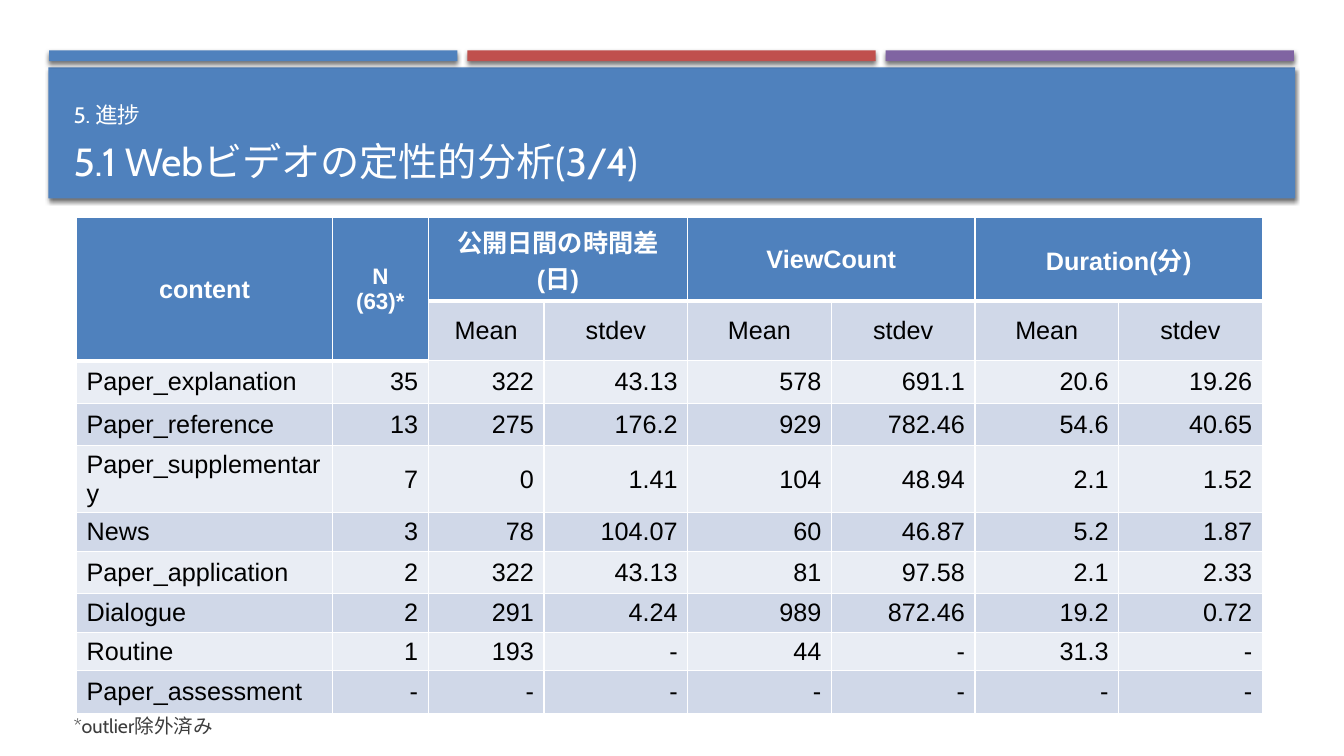
from lxml.etree import SubElement
from pptx import Presentation
from pptx.dml.color import RGBColor
from pptx.enum.shapes import MSO_SHAPE
from pptx.enum.text import MSO_ANCHOR, MSO_AUTO_SIZE, PP_ALIGN
from pptx.oxml import parse_xml
from pptx.oxml.ns import nsdecls, qn
from pptx.util import Cm, Pt

BLUE, RED, PURPLE, WHITE = "4F81BD", "C0504D", "8064A2", "FFFFFF"
BANDS = ["E9EDF4", "D0D8E8"]
SHADOW = (f'<a:effectLst {nsdecls("a")}><a:outerShdw blurRad="38100" dist="25400" '
          'dir="5400000" rotWithShape="0"><a:srgbClr val="000000">'
          '<a:alpha val="55000"/></a:srgbClr></a:outerShdw></a:effectLst>')


def rgb(value):
    """Turn a hex string into a colour."""
    return RGBColor.from_string(value)


def format_text(tf, align, **font):
    """Align every paragraph and set the font of every run."""
    color = font.pop("color")
    for p in tf.paragraphs:
        p.alignment = align
        for r in p.runs:
            r.font.color.rgb = rgb(color)
            for name, value in font.items():
                setattr(r.font, name, value)


prs = Presentation()
prs.slide_width, prs.slide_height = Cm(33.87), Cm(19.05)
s = prs.slides.add_slide(prs.slide_layouts[3])

# Header band and the three stripes above it, behind the text
bars = [(1.22, 1.7, 31.42, 3.3, BLUE)]
for i, color in enumerate([BLUE, RED, PURPLE]):
    bars.append((1.24 + i * 10.54, 1.27, 10.29, 0.27, color))
for i, (left, top, width, height, color) in enumerate(bars):
    sp = s.shapes.add_shape(MSO_SHAPE.RECTANGLE, Cm(left), Cm(top), Cm(width), Cm(height))
    sp.fill.solid()
    sp.fill.fore_color.rgb = rgb(color)
    sp.line.fill.background()
    sp._element.spPr.append(parse_xml(SHADOW))
    s.shapes._spTree.insert(2 + i, sp._element)

# Title, section name and footnote
title, section, footnote = s.placeholders
texts = [
    (title, "5.1\u00a0Webビデオの定性的分析(3/4)", 3.34, 1.45, 28, WHITE),
    (section, "5. 進捗", 2.42, 0.94, 16, WHITE),
    (footnote, "*outlier除外済み", 17.78, 1, 14, "3D3D3D"),
]
for sp, text, top, height, size, color in texts:
    sp.left, sp.top, sp.width, sp.height = Cm(1.6), Cm(top), Cm(30.65), Cm(height)
    tf = sp.text_frame
    tf.text = text
    tf.word_wrap = True
    tf.auto_size = MSO_AUTO_SIZE.NONE
    tf.vertical_anchor = MSO_ANCHOR.MIDDLE
    format_text(tf, PP_ALIGN.LEFT, name="Cabin", size=Pt(size), color=color)
    p = tf.paragraphs[0]
    p.space_before = Pt(0)
    pPr = p._p.get_or_add_pPr()
    pPr.set("marL", "0")
    pPr.set("indent", "0")
    SubElement(pPr, qn("a:buNone"))

# Table of videos by content, ending above the footnote
rows = [
    ["content", "N\n(63)*", "公開日間の時間差(日)", "", "ViewCount", "", "Duration(分)", ""],
    ["", ""] + ["Mean", "stdev"] * 3,
    ["Paper_explanation", "35", "322", "43.13", "578", "691.1", "20.6", "19.26"],
    ["Paper_reference", "13", "275", "176.2", "929", "782.46", "54.6", "40.65"],
    ["Paper_supplementary", "7", "0", "1.41", "104", "48.94", "2.1", "1.52"],
    ["News", "3", "78", "104.07", "60", "46.87", "5.2", "1.87"],
    ["Paper_application", "2", "322", "43.13", "81", "97.58", "2.1", "2.33"],
    ["Dialogue", "2", "291", "4.24", "989", "872.46", "19.2", "0.72"],
    ["Routine", "1", "193", "-", "44", "-", "31.3", "-"],
    ["Paper_assessment"] + ["-"] * 7,
]
widths = [6.45, 2.41, 2.92] + [3.62] * 5
heights = [2.08, 1.36, 1.07, 1.07, 1.69, 0.97, 1.07, 0.97, 0.97, 1.07]
table = s.shapes.add_table(len(rows), len(widths), Cm(1.93), Cm(5.49),
                           Cm(sum(widths)), Cm(sum(heights))).table
for column, width in zip(table.columns, widths):
    column.width = Cm(width)
for row, height in zip(table.rows, heights):
    row.height = Cm(height)
for c in (0, 1):
    table.cell(0, c).merge(table.cell(1, c))
for c in (2, 4, 6):
    table.cell(0, c).merge(table.cell(0, c + 1))

header = {(0, c) for c in range(8)} | {(1, 0), (1, 1)}
for i, row in enumerate(rows):
    for j, text in enumerate(row):
        cell = table.cell(i, j)
        is_header = (i, j) in header
        tcPr = cell._tc.get_or_add_tcPr()
        edges = {"L": 1, "R": 1, "T": 3 if (i - 1, j) in header else 1,
                 "B": 3 if is_header else 1}
        for side, points in edges.items():
            line = SubElement(tcPr, qn(f"a:ln{side}"), w=str(Pt(points)))
            SubElement(SubElement(line, qn("a:solidFill")), qn("a:srgbClr"), val=WHITE)
        cell.fill.solid()
        cell.fill.fore_color.rgb = rgb(BLUE if is_header else BANDS[i % 2])
        cell.vertical_anchor = MSO_ANCHOR.MIDDLE
        if cell.is_spanned:
            continue
        cell.text = text
        align = PP_ALIGN.CENTER if i < 2 else PP_ALIGN.RIGHT if j else PP_ALIGN.LEFT
        format_text(cell.text_frame, align, name="Arial", bold=is_header,
                    size=Pt(16 if (i, j) == (0, 1) else 18),
                    color=WHITE if is_header else "000000")

prs.save("out.pptx")
